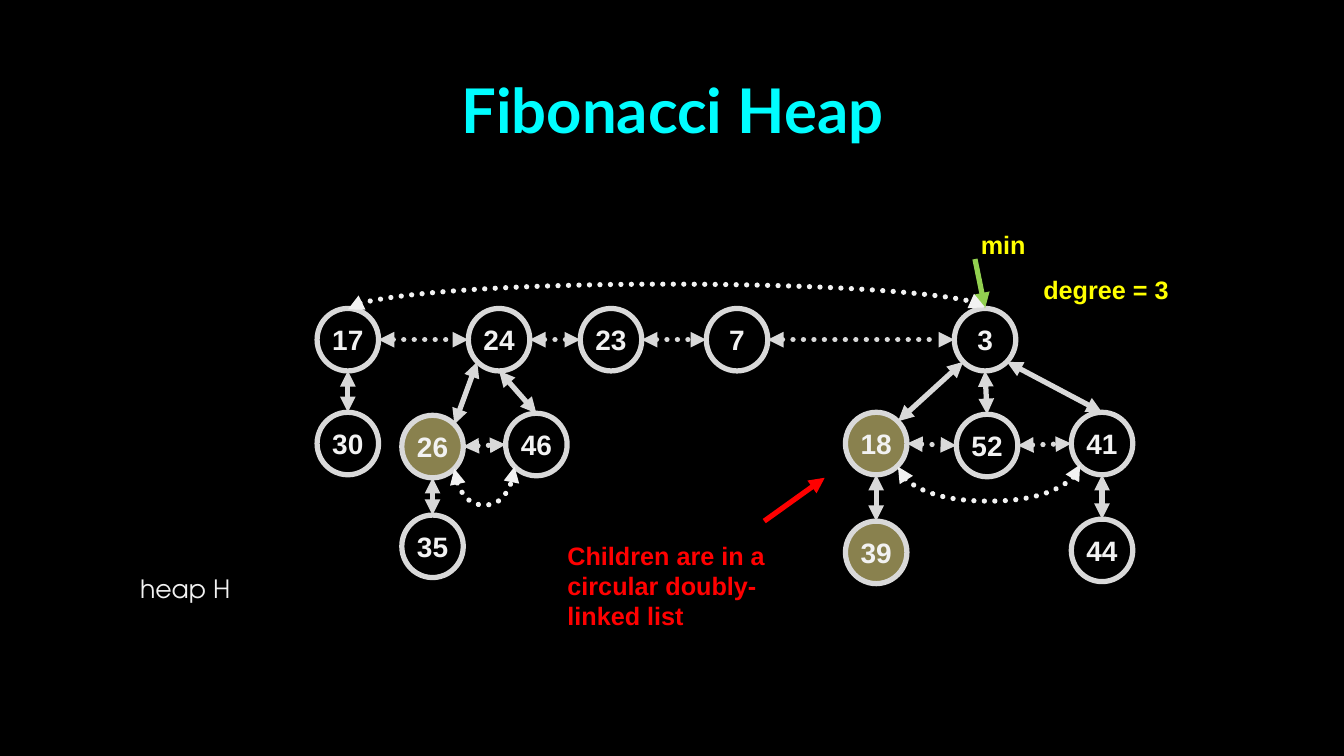
import pptx
import pptx.dml.color
import pptx.enum.dml
import pptx.enum.shapes
import pptx.enum.text
import pptx.oxml
import pptx.oxml.ns
import pptx.util

RGB = pptx.dml.color.RGBColor
BLACK = RGB(0x00, 0x00, 0x00)
CYAN = RGB(0x00, 0xFD, 0xFF)
RED = RGB(0xFF, 0x00, 0x00)
YELLOW = RGB(0xFF, 0xFF, 0x00)
GREEN = RGB(0x92, 0xD0, 0x50)
OLIVE = RGB(0x89, 0x81, 0x4E)
GRAY = RGB(0xD9, 0xD9, 0xD9)
PALE = RGB(0xF2, 0xF2, 0xF2)

LEFT = pptx.enum.text.PP_ALIGN.LEFT
CENTER = pptx.enum.text.PP_ALIGN.CENTER
TOP = pptx.enum.text.MSO_ANCHOR.TOP
MIDDLE = pptx.enum.text.MSO_ANCHOR.MIDDLE
LINE = pptx.enum.shapes.MSO_CONNECTOR.STRAIGHT
CURVE = pptx.enum.shapes.MSO_CONNECTOR.CURVE

CELL = 0.1
WIDE, HIGH = 6.1, 6.2
THIN = 0.2
DIAG = 0.71
PORTS = {
    "N": (0, -1), "S": (0, 1), "W": (-1, 0), "E": (1, 0),
    "SW": (-DIAG, DIAG), "SE": (DIAG, DIAG), "NE": (DIAG, -DIAG),
}

NODES = {
    17: (34.5, 33.7), 24: (49.5, 33.7), 23: (60.6, 33.7), 7: (73.1, 33.7), 3: (97.7, 33.7),
    30: (34.5, 44), 26: (42.9, 44.3), 46: (53.2, 44.1),
    18: (86.9, 44), 52: (97.9, 44.2), 41: (109.3, 44),
    35: (42.9, 54.2), 39: (86.9, 54.8), 44: (109.3, 54.6),
}
MARKED = (26, 18, 39)
PEERS = [(17, 24), (24, 23), (23, 7), (7, 3), (26, 46), (18, 52), (52, 41)]
TREE = [
    (17, "S", 30, "N"), (24, "SW", 26, "NE"), (24, "S", 46, "N"),
    (26, "S", 35, "N"), (3, "SW", 18, "NE"), (3, "S", 52, "N"),
    (3, "SE", 41, "N"), (18, "S", 39, "N"), (41, "S", 44, "N"),
]
LOOPS = [(17, "N", 3, "N", -2.5), (26, "SE", 46, "SW", 3.6), (18, "SE", 41, "SW", 3.4)]


def port(key, side):
    (col, row), (dx, dy) = NODES[key], PORTS[side]
    return col + dx * WIDE / 2, row + dy * HIGH / 2


def put(item, **form):
    for name, value in form.items():
        setattr(item, name, value)


def sub(node, tag, **attrs):
    child = pptx.oxml.parse_xml(f"<{tag} {pptx.oxml.ns.nsdecls('a')}/>")
    for name, value in attrs.items():
        child.set(name, value)
    node.append(child)


class Board:
    face = "Arial"
    size = 18
    width = pptx.util.Pt(3.75)

    def __init__(self, deck):
        self.slide = deck.slides.add_slide(deck.slide_layouts[5])
        self.shapes = self.slide.shapes
        self.slide.background.fill.solid()
        self.slide.background.fill.fore_color.rgb = BLACK

    def grid(self, *cells):
        return [pptx.util.Inches(cell * CELL) for cell in cells]

    def text(self, shape, words, color, align=LEFT, anchor=TOP, wrap=False, **font):
        frame = shape.text_frame
        frame.text = words
        put(frame, word_wrap=wrap, vertical_anchor=anchor,
            auto_size=pptx.enum.text.MSO_AUTO_SIZE.NONE)
        para = frame.paragraphs[0]
        para.alignment = align
        style = {"name": self.face, "size": self.size, "bold": True, **font}
        style["size"] = pptx.util.Pt(style["size"])
        put(para.runs[0].font, **style)
        para.runs[0].font.color.rgb = color
        return para

    def title(self, words, *box):
        shape = self.shapes.title
        left, top, width, height = self.grid(*box)
        put(shape, left=left, top=top, width=width, height=height)
        para = self.text(shape, words, CYAN, CENTER, MIDDLE, True, name="Lato", size=44)
        para.line_spacing = 0.9

    def label(self, words, box, color, **form):
        self.text(self.shapes.add_textbox(*self.grid(*box)), words, color, **form)

    def node(self, key):
        col, row = NODES[key]
        box = self.grid(col - WIDE / 2, row - HIGH / 2, WIDE, HIGH)
        shape = self.shapes.add_shape(pptx.enum.shapes.MSO_SHAPE.OVAL, *box)
        shape.shadow.inherit = False
        shape.fill.solid()
        shape.fill.fore_color.rgb = OLIVE if key in MARKED else BLACK
        shape.line.color.rgb = GRAY
        shape.line.width = self.width
        self.text(shape, str(key), PALE, CENTER, MIDDLE, size=20)

    def link(self, start, end, color=GRAY, dots=False, both=True, kind=LINE):
        wire = self.shapes.add_connector(kind, *self.grid(*start, *end))
        wire.line.color.rgb = color
        wire.line.width = self.width
        stroke = wire._element.xpath(".//a:ln")[0]
        if dots:
            wire.line.dash_style = pptx.enum.dml.MSO_LINE.ROUND_DOT
            stroke.set("cap", "rnd")
        sub(stroke, "a:headEnd", type="triangle")
        if both:
            sub(stroke, "a:tailEnd", type="triangle")
        sub(wire._element.spPr, "a:effectLst")
        return wire

    def loop(self, start, end, depth):
        col, row = (start[0] + end[0]) / 2, (start[1] + end[1]) / 2
        half = (end[0] - start[0]) / 2
        wire = self.link((col - THIN / 2, row - half), (col + THIN / 2, row + half),
                         PALE, dots=True, kind=CURVE)
        frame = wire._element.xpath(".//a:xfrm")[0]
        for name, value in {"rot": "5400000", "flipH": "1", "flipV": "1"}.items():
            frame.set(name, value)
        bend = round(-depth / THIN * 100000)
        shape = wire._element.xpath(".//a:prstGeom")[0]
        for old in list(shape):
            shape.remove(old)
        sub(shape, "a:avLst")
        sub(shape[0], "a:gd", name="adj1", fmla=f"val {bend}")


def main():
    deck = pptx.Presentation()
    put(deck, slide_width=pptx.util.Inches(13.33), slide_height=pptx.util.Inches(7.5))
    board = Board(deck)
    board.title("Fibonacci Heap", 9.2, 4, 115, 14.5)
    board.label("Children are in a circular doubly-linked list",
                (55.3, 53.1, 25, 10.1), RED, wrap=True)
    board.label("degree = 3", (102.5, 26.7, 14.4, 4.1), YELLOW, align=CENTER, anchor=MIDDLE)
    board.label("min", (94.3, 18.9, 10.4, 10.7), YELLOW, align=CENTER, anchor=MIDDLE)
    board.label("heap H", (12.9, 56.4, 11.8, 4), PALE, name="TeX Gyre Adventor", bold=False)
    for key in NODES:
        board.node(key)
    for one, two in PEERS:
        board.link(port(one, "E"), port(two, "W"), dots=True)
    for top, out, child, into in TREE:
        board.link(port(child, into), port(top, out))
    board.link(port(3, "N"), (96.7, 25.7), GREEN, both=False)
    for one, out, two, into, depth in LOOPS:
        board.loop(port(one, out), port(two, into), depth)
    board.link((81.8, 47.4), (75.8, 51.7), RED, both=False)
    deck.save("out.pptx")


if __name__ == "__main__":
    main()
